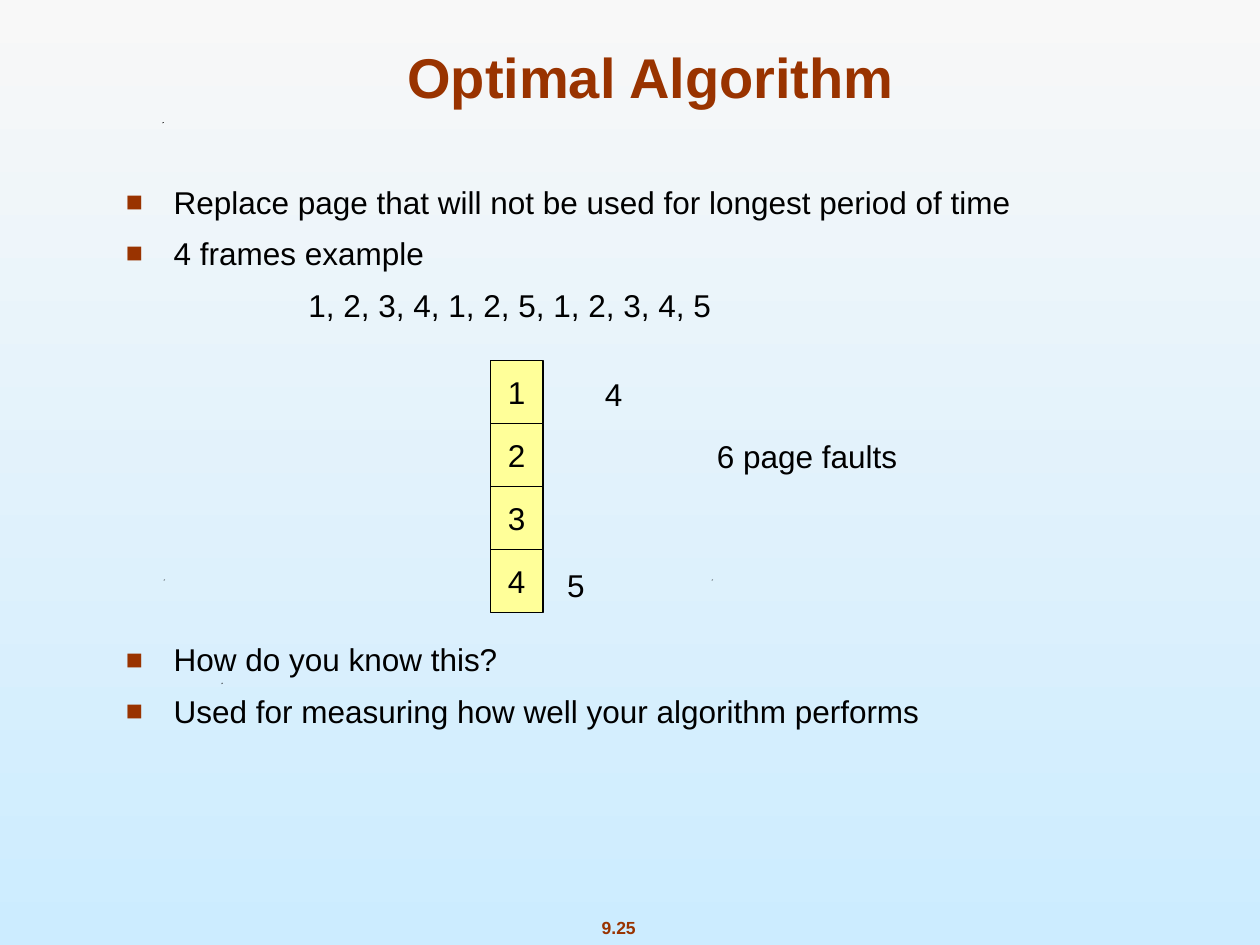
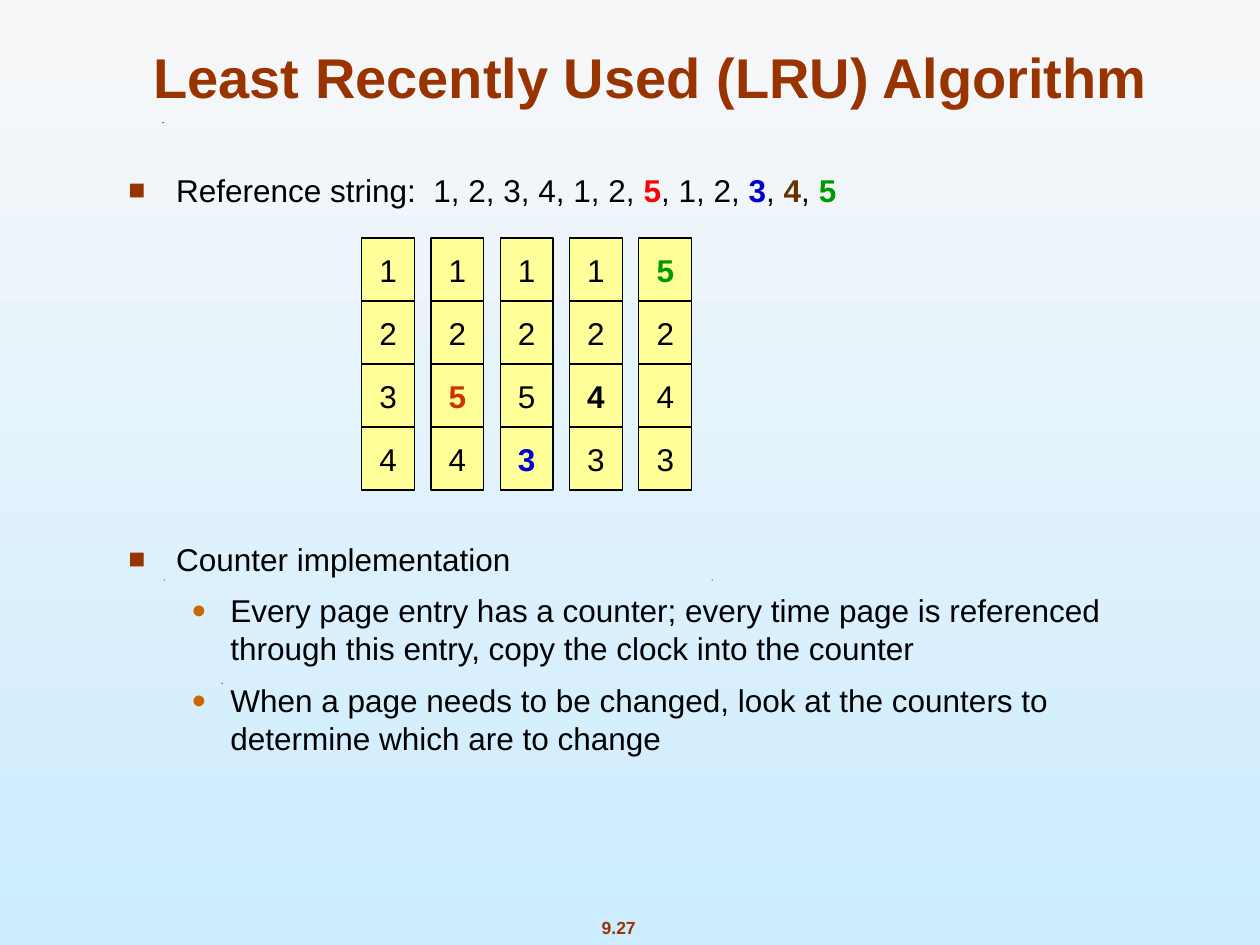
from lxml.etree import SubElement
from pptx import Presentation
from pptx.dml.color import RGBColor
from pptx.enum.shapes import MSO_SHAPE as Shape
from pptx.enum.text import MSO_ANCHOR as Anchor, PP_ALIGN as Align
from pptx.oxml.ns import qn
from pptx.util import Inches, Pt

WIDTH, HEIGHT = 10, 7.5
FONT = "Arial"
BLACK, RUST, ORANGE, CREAM = "000000", "993300", "CC6600", "FFFF99"
RED, BRICK, BLUE, BROWN, GREEN = "FF0000", "CC3300", "0000CC", "663300", "009900"
SKY = ("F8F8F8", "CCECFF")

TITLE_AREA = (0.75, 0.25, 8.83, 0.67)
NUMBER_AREA = (4.42, 7.23, 0.98, 0.27)
BODY_SIZE = (8.04, 4.9)
CELL_WIDTH, CELL_HEIGHT, COLUMN_STEP = 0.42, 0.5, 0.55
LINE_GAP = 7.9
SPECKS = [(1.76, 5.42), (1.3, 4.6), (5.65, 4.6), (1.29, 0.97)]
SPECK_SIDE = 0.01

LEVELS = {
    "point": dict(margin=0.38, hanging=0.38, bullet=("■", RUST, 90)),
    "detail": dict(margin=0.81, hanging=0.31, bullet=("●", ORANGE, 80)),
    "sequence": dict(margin=1.45, hanging=0, bullet=None),
}

SLIDES = [
    dict(
        title="Optimal Algorithm",
        number="9.25",
        body_at=(0.9, 1.4),
        body=[
            ("point", "Replace page that will not be used for longest period of time", LINE_GAP),
            ("point", "4 frames example", LINE_GAP),
            ("sequence", "1, 2, 3, 4, 1, 2, 5, 1, 2, 3, 4, 5", LINE_GAP),
            ("point", "How do you know this?", 181),
            ("point", "Used for measuring how well your algorithm performs", LINE_GAP),
        ],
        frames_at=(3.89, 2.86),
        frames=[["1", "2", "3", "4"]],
        labels=[
            ("4", (4.7, 2.93, 0.34, 0.4)),
            ("6 page faults", (5.59, 3.42, 1.63, 0.4)),
            ("5", (4.4, 4.44, 0.34, 0.4)),
        ],
    ),
    dict(
        title="Least Recently Used (LRU) Algorithm",
        number="9.27",
        body_at=(0.92, 1.31),
        body=[
            ("point", ["Reference string:  1, 2, 3, 4, 1, 2, ", ("5", RED), ", 1, 2, ",
                       ("3", BLUE), ", ", ("4", BROWN), ", ", ("5", GREEN)], LINE_GAP),
            ("point", "Counter implementation", 189),
            ("detail", "Every page entry has a counter; every time page is referenced "
                       "through this entry, copy the clock into the counter", LINE_GAP),
            ("detail", "When a page needs to be changed, look at the counters to "
                       "determine which are to change", LINE_GAP),
        ],
        frames_at=(2.87, 1.89),
        frames=[
            ["1", "2", "3", "4"],
            ["1", "2", ("5", BRICK), "4"],
            ["1", "2", "5", ("3", BLUE)],
            ["1", "2", ("4", BLACK), "3"],
            [("5", GREEN), "2", "4", "3"],
        ],
        labels=[],
    ),
]


def rgb(value):
    return RGBColor.from_string(value)


def place(area):
    return [Inches(length) for length in area]


def write(paragraph, text, size=18, color=BLACK, bold=False, align=Align.LEFT, before=0):
    paragraph.alignment = align
    if before:
        paragraph.space_before = Pt(before)
    for part in text if isinstance(text, list) else [text]:
        wording, ink, heavy = (*part, True) if isinstance(part, tuple) else (part, color, bold)
        run = paragraph.add_run()
        run.text = wording
        run.font.name, run.font.size, run.font.bold = FONT, Pt(size), heavy
        run.font.color.rgb = rgb(ink)


def set_level(paragraph, margin, hanging, bullet):
    props = paragraph._p.get_or_add_pPr()
    props.set("marL", str(Inches(margin)))
    props.set("indent", str(-Inches(hanging)))
    if bullet:
        sign, color, percent = bullet
        SubElement(SubElement(props, qn("a:buClr")), qn("a:srgbClr")).set("val", color)
        SubElement(props, qn("a:buSzPct")).set("val", str(percent * 1000))
        SubElement(props, qn("a:buFont")).set("typeface", FONT)
        SubElement(props, qn("a:buChar")).set("char", sign)
    else:
        SubElement(props, qn("a:buNone"))


def add_label(slide, text, area, anchor=Anchor.MIDDLE, **style):
    frame = slide.shapes.add_textbox(*place(area)).text_frame
    frame.word_wrap = False
    frame.vertical_anchor = anchor
    write(frame.paragraphs[0], text, align=Align.CENTER, **style)


def add_specks(slide):
    for left, top in SPECKS:
        corners = [(left + SPECK_SIDE, top), (left, top + SPECK_SIDE)]
        builder = slide.shapes.build_freeform(Inches(left), Inches(top))
        builder.add_line_segments([place(corner) for corner in corners])
        speck = builder.convert_to_shape()
        speck.shadow.inherit = False
        speck.fill.solid()
        speck.fill.fore_color.rgb = rgb(BLACK)
        speck.line.fill.background()


def add_title(slide, text):
    title = slide.shapes.title
    title.left, title.top, title.width, title.height = place(TITLE_AREA)
    title.text_frame.vertical_anchor = Anchor.BOTTOM
    write(title.text_frame.paragraphs[0], text, size=32, color=RUST, bold=True, align=Align.CENTER)


def add_body(slide, corner, points):
    frame = slide.shapes.add_textbox(*place(corner + BODY_SIZE)).text_frame
    frame.word_wrap = True
    for index, (level, text, gap) in enumerate(points):
        paragraph = frame.add_paragraph() if index else frame.paragraphs[0]
        set_level(paragraph, **LEVELS[level])
        write(paragraph, text, before=gap if index else 0)


def add_frames(slide, corner, columns):
    left, top = corner
    for column, pages in enumerate(columns):
        for row, page in enumerate(pages):
            area = (left + column * COLUMN_STEP, top + row * CELL_HEIGHT, CELL_WIDTH, CELL_HEIGHT)
            cell = slide.shapes.add_shape(Shape.RECTANGLE, *place(area))
            cell.shadow.inherit = False
            cell.fill.solid()
            cell.fill.fore_color.rgb = rgb(CREAM)
            cell.line.color.rgb = rgb(BLACK)
            cell.line.width = Pt(0.75)
            cell.text_frame.word_wrap = False
            cell.text_frame.vertical_anchor = Anchor.MIDDLE
            write(cell.text_frame.paragraphs[0], [page], align=Align.CENTER)


def paint_background(master):
    fill = master.background.fill
    fill.gradient()
    fill.gradient_angle = 270
    for stop, color in zip(fill.gradient_stops, SKY):
        stop.color.rgb = rgb(color)


def main():
    deck = Presentation()
    deck.slide_width, deck.slide_height = place((WIDTH, HEIGHT))
    paint_background(deck.slide_master)
    for content in SLIDES:
        slide = deck.slides.add_slide(deck.slide_layouts[5])
        add_label(slide, content["number"], NUMBER_AREA, anchor=Anchor.TOP,
                  size=10, color=RUST, bold=True)
        add_specks(slide)
        add_title(slide, content["title"])
        add_body(slide, content["body_at"], content["body"])
        add_frames(slide, content["frames_at"], content["frames"])
        for text, area in content["labels"]:
            add_label(slide, text, area)
    deck.save("out.pptx")


if __name__ == "__main__":
    main()
